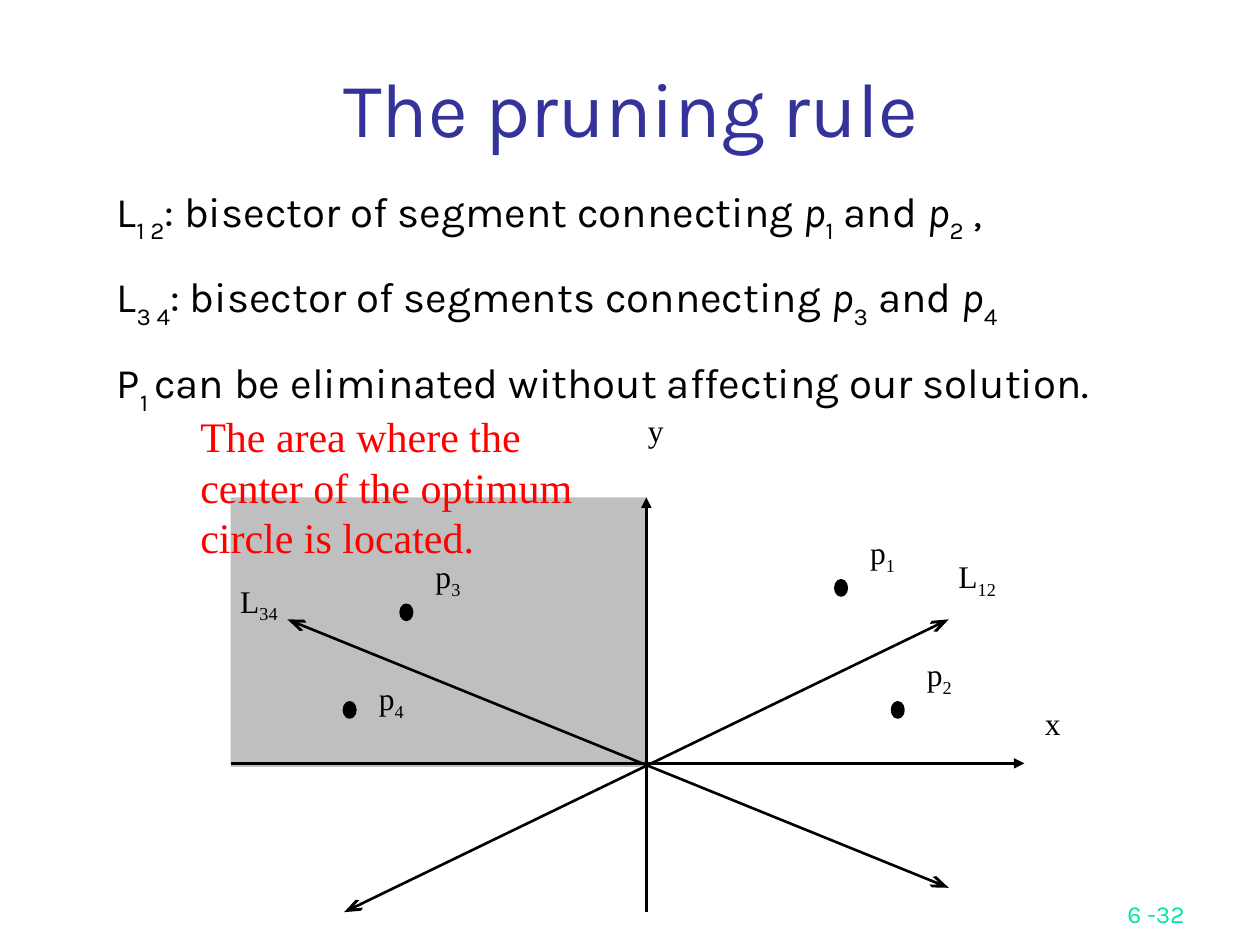
from lxml import etree
from pptx import Presentation, util as u
from pptx.dml.color import RGBColor
from pptx.enum import shapes, text
from pptx.oxml.ns import qn

W, H = 10, 7.5
SANS, SERIF = "Karla", "Times New Roman"
BLACK, RED, NAVY, MINT, GREY = "000000", "FF0000", "333399", "00E4A8", "BFBFBF"
LEFT, TOP = 1.83, 3.25
COL, ROW = 0.15, 3.99 / 20.6

SUB, ITALIC, PLAIN = "sub", "italic", ""
title = [[("The pruning rule", PLAIN)]]
page_number = [[("6 -32", PLAIN)]]
statements = [
    [("L", PLAIN), ("1 2", SUB), (": bisector of segment connecting ", PLAIN),
     ("p", ITALIC), ("1", SUB), (" and ", PLAIN), ("p", ITALIC), ("2", SUB), (" ,", PLAIN)],
    [("L", PLAIN), ("3 4", SUB), (": bisector of segments connecting ", PLAIN),
     ("p", ITALIC), ("3", SUB), (" and ", PLAIN), ("p", ITALIC), ("4", SUB)],
    [("P", PLAIN), ("1 ", SUB),
     ("can be eliminated without affecting our solution.", PLAIN)],
]
area_note = [[("The area where the center of the optimum circle is located.", PLAIN)]]

labels = [("y", "", 21, 0), ("p", "3", 10, 6), ("p", "1", 33, 5), ("L", "12", 38, 6),
          ("p", "4", 7, 11), ("p", "2", 36, 10), ("L", "34", 0, 7), ("x", "", 42, 12)]
points = [(9, 8), (6, 12), (32, 7), (35, 12)]
axes = [((0, 14.5), (42, 14.5)), ((22, 20.6), (22, 3.6))]
bisectors = [((3, 8.6), (38, 19.6)), ((6, 20.6), (38, 8.6))]

deck = Presentation()
deck.slide_width, deck.slide_height = u.Inches(W), u.Inches(H)
slide = deck.slides.add_slide(deck.slide_layouts[6])


def color(code):
    return RGBColor.from_string(code)


def place(col, row):
    return u.Inches(LEFT + col * COL), u.Inches(TOP + row * ROW)


def write(left, top, width, height, paragraphs, size, font, ink,
          align=text.PP_ALIGN.LEFT, anchor=text.MSO_ANCHOR.TOP,
          inset=(0.1, 0.05), gap=0, hanging=0, drop=-25):
    frame = slide.shapes.add_textbox(left, top, width, height).text_frame
    frame.word_wrap = True
    frame.vertical_anchor = anchor
    frame.margin_left = frame.margin_right = u.Inches(inset[0])
    frame.margin_top = frame.margin_bottom = u.Inches(inset[1])
    for index, runs in enumerate(paragraphs):
        paragraph = frame.add_paragraph() if index else frame.paragraphs[0]
        paragraph.alignment = align
        if index:
            paragraph.space_before = u.Pt(gap)
        if hanging:
            properties = paragraph._p.get_or_add_pPr()
            properties.set("marL", str(u.Inches(hanging)))
            properties.set("indent", str(-u.Inches(hanging)))
        for words, style in runs:
            run = paragraph.add_run()
            run.text = words
            run.font.size, run.font.name = u.Pt(size), font
            run.font.color.rgb = color(ink)
            if style == ITALIC:
                run.font.italic = True
            if style == SUB:
                run.font._element.set("baseline", str(drop * 1000))


def draw(kind, left, top, width, height, fill, line=0):
    shape = slide.shapes.add_shape(kind, left, top, width, height)
    shape.shadow.inherit = False
    shape.fill.solid()
    shape.fill.fore_color.rgb = color(fill)
    if line:
        shape.line.color.rgb = color(fill)
        shape.line.width = u.Pt(line)
    else:
        shape.line.fill.background()


def connect(start, end, weight, ends, head, length):
    line = slide.shapes.add_connector(
        shapes.MSO_CONNECTOR.STRAIGHT, *place(*start), *place(*end))
    line.line.color.rgb = color(BLACK)
    line.line.width = u.Pt(weight)
    for side in ends:
        etree.SubElement(line.line._get_or_add_ln(), qn("a:" + side),
                         type=head, w="med", len=length)
    etree.SubElement(line._element.spPr, qn("a:effectLst"))


write(*map(u.Inches, (7.42, 6.92, 2.08, 0.5)), page_number, 14, SANS, MINT,
      text.PP_ALIGN.RIGHT, text.MSO_ANCHOR.BOTTOM)

draw(shapes.MSO_SHAPE.RECTANGLE, *place(0, 3.6),
     u.Inches(22 * COL), u.Inches(2.14), GREY)
for start, end in axes:
    connect(start, end, 2, ["tailEnd"], "triangle", "med")
for start, end in bisectors:
    connect(start, end, 1.5, ["headEnd", "tailEnd"], "arrow", "lg")

write(u.Inches(1.58), u.Inches(TOP), u.Inches(3.25), u.Inches(6 * ROW),
      area_note, 24, SERIF, RED, inset=(0.01, 0.01))
for name, index, col, row in labels:
    runs = [(name, PLAIN)] + ([(index, SUB)] if index else [])
    write(*place(col, row), u.Inches(3 * COL), u.Inches(3 * ROW), [runs],
          18, SERIF, BLACK, text.PP_ALIGN.CENTER, inset=(0.01, 0.01))
for col, row in points:
    draw(shapes.MSO_SHAPE.OVAL, *place(col, row),
         u.Inches(0.09), u.Inches(0.12), BLACK, 1.5)

write(*map(u.Inches, (0.75, 0.42, 8.52, 0.84)), title, 44, SANS, NAVY,
      text.PP_ALIGN.CENTER, text.MSO_ANCHOR.BOTTOM)
write(*map(u.Inches, (0.83, 1.42, 8.5, 4.71)), statements, 24, SANS, BLACK,
      text.PP_ALIGN.JUSTIFY, gap=15, hanging=0.38, drop=-30)

deck.save("out.pptx")
